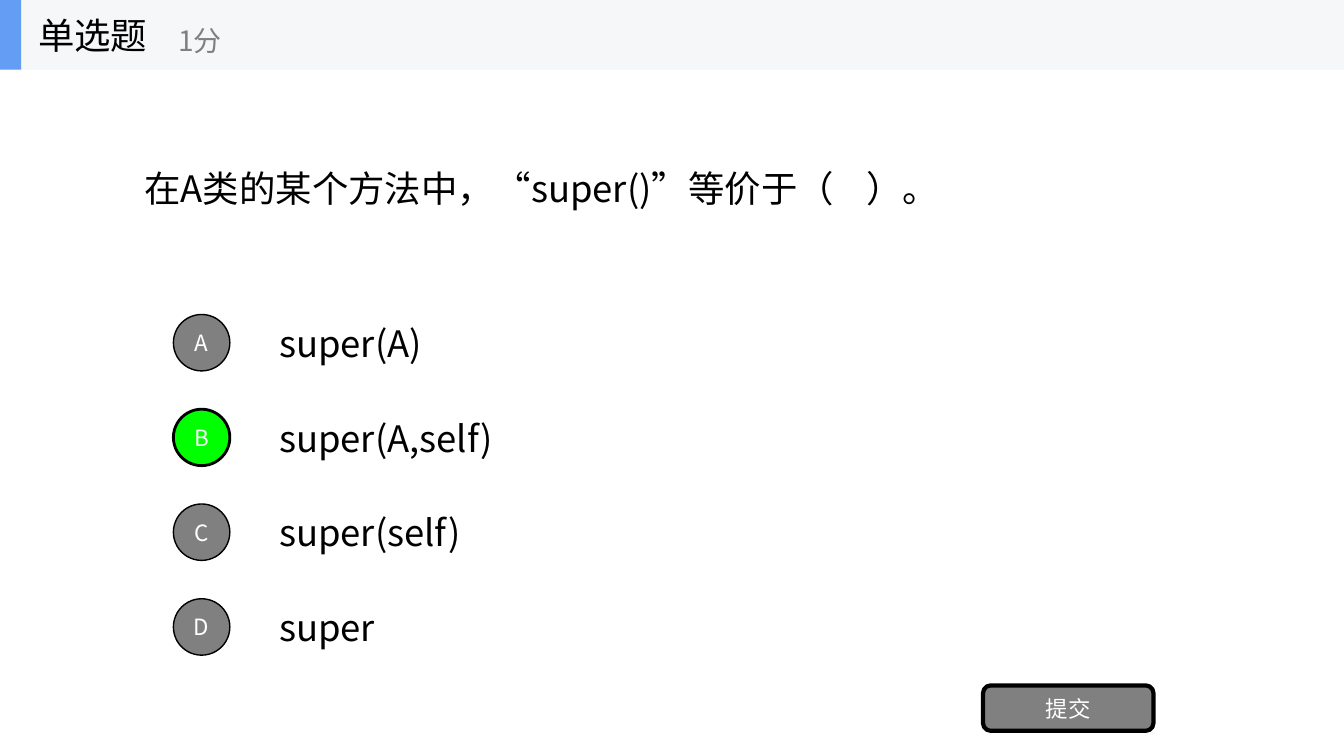
from lxml.etree import SubElement
from pptx import Presentation
from pptx.dml.color import RGBColor
from pptx.enum.shapes import MSO_SHAPE
from pptx.enum.text import MSO_ANCHOR, MSO_AUTO_SIZE, PP_ALIGN
from pptx.oxml.ns import qn
from pptx.util import Inches, Pt

COLORS = {
    "text": "000000",
    "muted": "808080",
    "selected": "00FF00",
    "light": "FFFFFF",
    "header": "F6F7F8",
    "accent": "639EF4",
}
OPTIONS = ["super(A)", "super(A,self)", "super(self)", "super"]
ANSWER = "B"
FIRST_OPTION_TOP = 3.05
OPTION_STEP = 0.94
OPTION_HEIGHT = 0.7
BADGE_SIZE = 0.56
HEADER_HEIGHT = 0.69


class QuizSlide:
    font_name = "Noto Sans CJK SC"

    def __init__(self, slide):
        self.slide = slide

    def color(self, name):
        return RGBColor.from_string(COLORS[name])

    def set_text(self, shape, text, size, color, alignment=PP_ALIGN.LEFT):
        frame = shape.text_frame
        frame.word_wrap = True
        frame.auto_size = MSO_AUTO_SIZE.NONE
        frame.vertical_anchor = MSO_ANCHOR.MIDDLE
        paragraph = frame.paragraphs[0]
        paragraph.alignment = alignment
        run = paragraph.add_run()
        run.text = text
        run.font.size = Pt(size)
        run.font.color.rgb = self.color(color)
        run.font.name = self.font_name
        # python-pptx sets only the Latin font; Chinese text needs a:ea
        SubElement(run.font._element, qn("a:ea"), typeface=self.font_name)

    def title(self, text, left, top, width, height):
        title = self.slide.shapes.title
        title.left, title.top = Inches(left), Inches(top)
        title.width, title.height = Inches(width), Inches(height)
        self.set_text(title, text, 26, "text")

    def label(self, text, left, top, width, height, size=26, color="text"):
        box = self.slide.shapes.add_textbox(
            Inches(left), Inches(top), Inches(width), Inches(height))
        self.set_text(box, text, size, color)

    def block(self, kind, left, top, width, height, fill, line_width=0):
        shape = self.slide.shapes.add_shape(
            kind, Inches(left), Inches(top), Inches(width), Inches(height))
        shape.shadow.inherit = False
        shape.fill.solid()
        shape.fill.fore_color.rgb = self.color(fill)
        if line_width:
            shape.line.color.rgb = self.color("text")
            shape.line.width = Pt(line_width)
        else:
            shape.line.fill.background()
        return shape

    def button(self, text, kind, left, top, width, height, fill, line_width):
        shape = self.block(kind, left, top, width, height, fill, line_width)
        self.set_text(shape, text, 16, "light", PP_ALIGN.CENTER)

    def option(self, letter, text, top):
        selected = letter == ANSWER
        self.label(text, 2.67, top, 9.33, OPTION_HEIGHT)
        self.button(letter, MSO_SHAPE.OVAL, 1.72,
                    top + (OPTION_HEIGHT - BADGE_SIZE) / 2,
                    BADGE_SIZE, BADGE_SIZE,
                    "selected" if selected else "muted", 2 if selected else 1)


def main():
    presentation = Presentation()
    presentation.slide_width = Inches(13.33)
    presentation.slide_height = Inches(7.5)
    title_only = presentation.slide_layouts[5]
    quiz = QuizSlide(presentation.slides.add_slide(title_only))

    quiz.title("在A类的某个方法中，“super()”等价于（    ）。", 1.33, 0.69, 10.67, 2.34)
    for index, (letter, text) in enumerate(zip("ABCD", OPTIONS)):
        quiz.option(letter, text, FIRST_OPTION_TOP + index * OPTION_STEP)
    quiz.button("提交", MSO_SHAPE.ROUNDED_RECTANGLE, 9.75, 6.8, 1.69, 0.45, "muted", 3)

    quiz.block(MSO_SHAPE.RECTANGLE, 0, 0, 13.33, HEADER_HEIGHT, "header")
    quiz.block(MSO_SHAPE.RECTANGLE, 0, 0, 0.21, HEADER_HEIGHT, "accent")
    quiz.label("单选题", 0.28, 0, 2.08, HEADER_HEIGHT)
    quiz.label("1分", 1.67, 0.12, 2.5, 0.56, size=20, color="muted")

    presentation.save("out.pptx")


if __name__ == "__main__":
    main()
